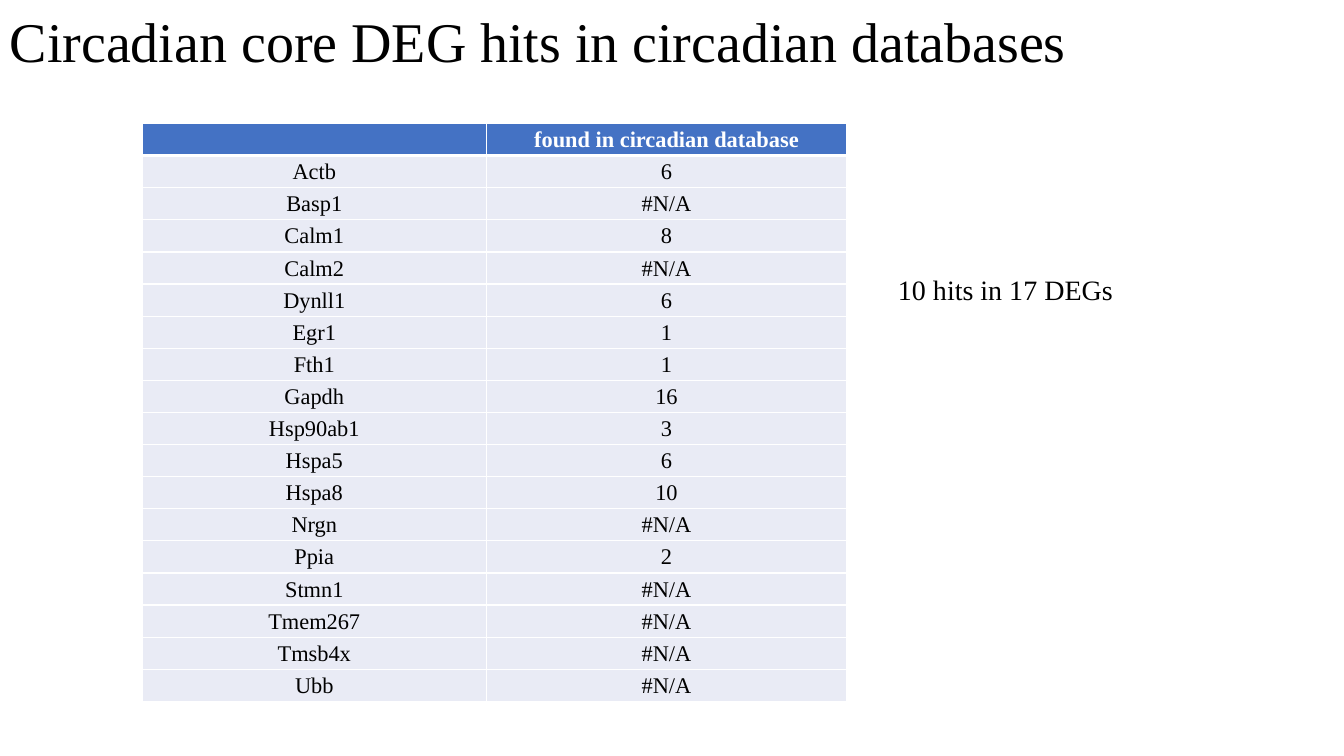
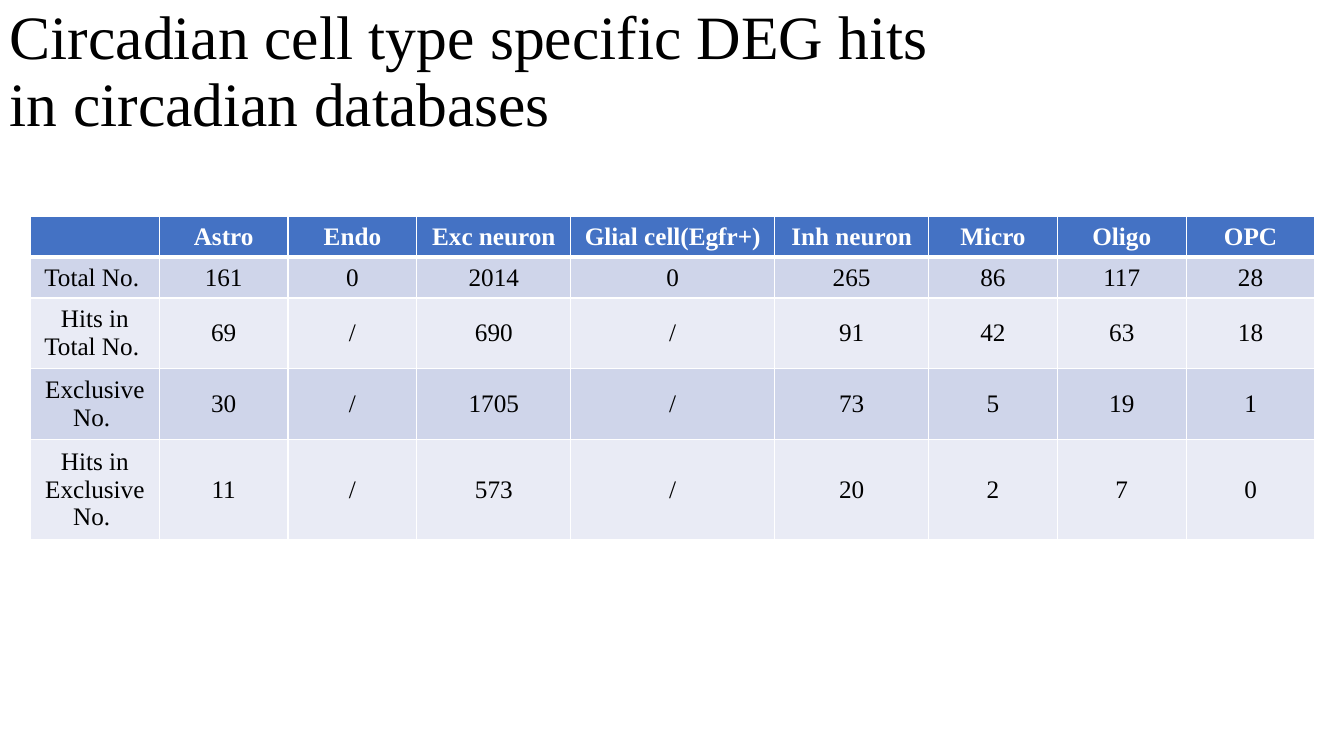
import pptx
import pptx.dml.color
import pptx.enum.text
import pptx.oxml
import pptx.oxml.ns
import pptx.util

Pt = pptx.util.Pt
ANCHOR = pptx.enum.text.MSO_ANCHOR
ALIGN = pptx.enum.text.PP_ALIGN

FONT = "Times New Roman"
BLACK, WHITE = "000000", "FFFFFF"
HEADER_FILL, BAND_DARK, BAND_LIGHT = "4472C4", "CFD5EA", "E9EBF5"

GENE_ROWS = [
    ("", "found in circadian database"),
    ("Actb", "6"),
    ("Basp1", "#N/A"),
    ("Calm1", "8"),
    ("Calm2", "#N/A"),
    ("Dynll1", "6"),
    ("Egr1", "1"),
    ("Fth1", "1"),
    ("Gapdh", "16"),
    ("Hsp90ab1", "3"),
    ("Hspa5", "6"),
    ("Hspa8", "10"),
    ("Nrgn", "#N/A"),
    ("Ppia", "2"),
    ("Stmn1", "#N/A"),
    ("Tmem267", "#N/A"),
    ("Tmsb4x", "#N/A"),
    ("Ubb", "#N/A"),
]
CELL_TYPE_ROWS = [
    ("", "Astro", "Endo", "Exc neuron", "Glial cell(Egfr+)", "Inh neuron",
     "Micro", "Oligo", "OPC"),
    ("Total No. ", "161", "0", "2014", "0", "265", "86", "117", "28"),
    ("Hits in Total No. ", "69", "/", "690", "/", "91", "42", "63", "18"),
    ("Exclusive No. ", "30", "/", "1705", "/", "73", "5", "19", "1"),
    ("Hits in Exclusive No. ", "11", "/", "573", "/", "20", "2", "7", "0"),
]

SLIDES = [
    {
        "title": ("Circadian core DEG hits in circadian databases",
                  (0, 1.4, 902, 61), 40),
        "table": {"rows": GENE_ROWS, "left": 101.4, "top": 88.2,
                  "widths": [246.2, 257], "heights": [22.95] * len(GENE_ROWS),
                  "size": 16, "bands": [BAND_LIGHT],
                  "margins": (0.75, 0.75, 0.75, 0)},
        "note": ("10 hits in 17 DEGs", (634.3, 190.8, 169.2, 31.5), 20),
    },
    {
        "title": ("Circadian cell type specific DEG hits\vin circadian databases",
                  (0, 0, 828, 104.4), 44),
        "table": {"rows": CELL_TYPE_ROWS, "left": 21.8, "top": 154.4,
                  "widths": [92] * 3 + [110, 145.6, 110] + [92] * 3,
                  "heights": [29.2, 29.2, 47.2, 47.2, 67],
                  "size": 18, "bands": [BAND_DARK, BAND_LIGHT],
                  "margins": (7.2, 3.6, 7.2, 3.6)},
    },
]


def rgb(color):
    return pptx.dml.color.RGBColor.from_string(color)


def set_format(obj, **values):
    for name, value in values.items():
        setattr(obj, name, value)


def style_runs(p, size, color=BLACK, bold=False):
    for r in p.runs:
        set_format(r.font, name=FONT, size=Pt(size), bold=bold)
        r.font.color.rgb = rgb(color)


def add_text(s, text, box, size, anchor=ANCHOR.TOP, spacing=None):
    tf = s.shapes.add_textbox(*map(Pt, box)).text_frame
    set_format(tf, word_wrap=True, vertical_anchor=anchor)
    p = tf.paragraphs[0]
    set_format(p, text=text, line_spacing=spacing)
    style_runs(p, size)


def set_borders(cell, **widths):
    """Draw white cell edges; widths maps L, R, T, B to points."""
    tc_pr = cell._tc.get_or_add_tcPr()
    for edge, width in widths.items():
        tc_pr.append(pptx.oxml.parse_xml(
            f'<a:ln{edge} {pptx.oxml.ns.nsdecls("a")} w="{Pt(width)}">'
            f'<a:solidFill><a:srgbClr val="{WHITE}"/></a:solidFill></a:ln{edge}>'))


def add_table(s, rows, left, top, widths, heights, size, bands, margins):
    table = s.shapes.add_table(
        len(rows), len(widths),
        *map(Pt, (left, top, sum(widths), sum(heights)))).table
    for column, width in zip(table.columns, widths):
        column.width = Pt(width)
    for i, (values, height) in enumerate(zip(rows, heights)):
        table.rows[i].height = Pt(height)
        header = i == 0
        fill = HEADER_FILL if header else bands[(i - 1) % len(bands)]
        for j, text in enumerate(values):
            cell = table.cell(i, j)
            sides = ("margin_left", "margin_top", "margin_right", "margin_bottom")
            set_format(cell, vertical_anchor=ANCHOR.MIDDLE,
                       **dict(zip(sides, map(Pt, margins))))
            set_borders(cell, L=1, R=1, T=3 if i == 1 else 1, B=3 if header else 1)
            cell.fill.solid()
            cell.fill.fore_color.rgb = rgb(fill)
            p = cell.text_frame.paragraphs[0]
            p.alignment = ALIGN.CENTER
            if text:
                p.text = text
                style_runs(p, size, WHITE if header else BLACK, header)


def main():
    prs = pptx.Presentation()
    set_format(prs, slide_width=Pt(960), slide_height=Pt(540))
    for content in SLIDES:
        s = prs.slides.add_slide(prs.slide_layouts[6])
        add_text(s, *content["title"], anchor=ANCHOR.MIDDLE, spacing=0.9)
        add_table(s, **content["table"])
        if "note" in content:
            add_text(s, *content["note"])
    prs.save("out.pptx")


if __name__ == "__main__":
    main()
